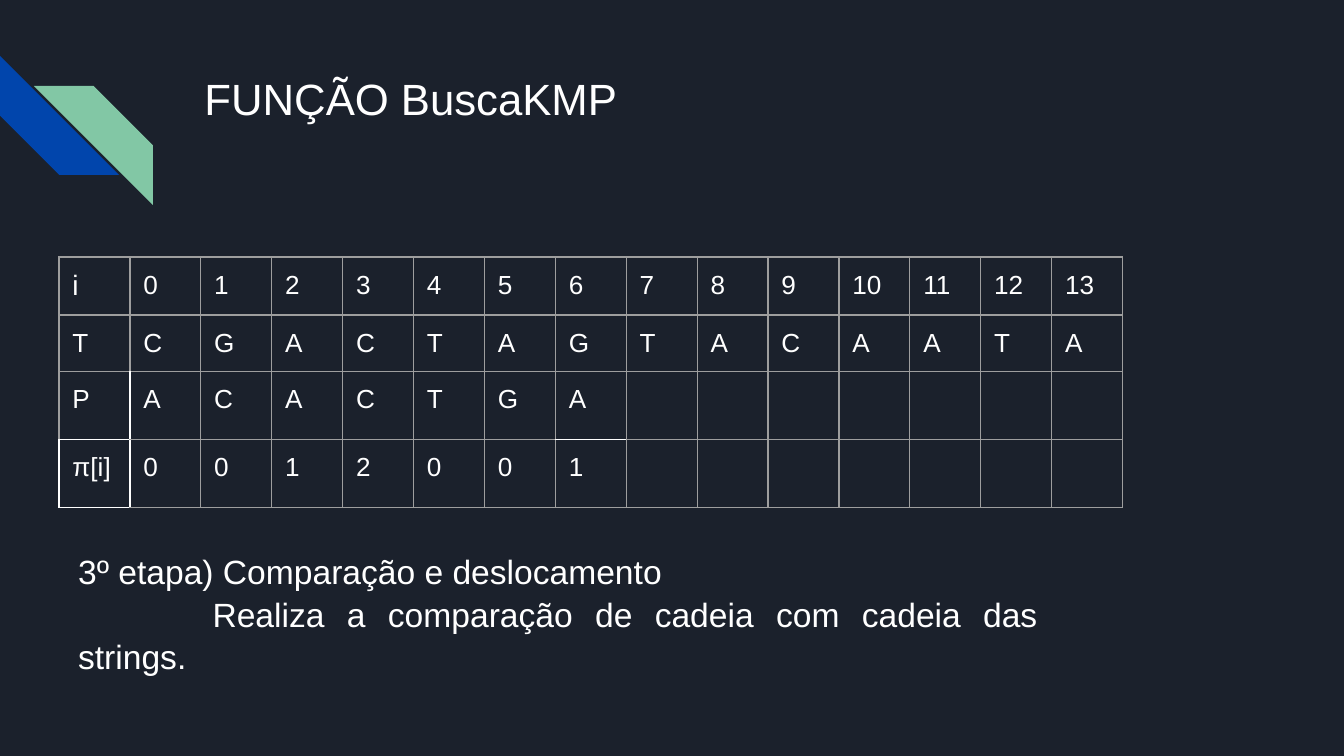
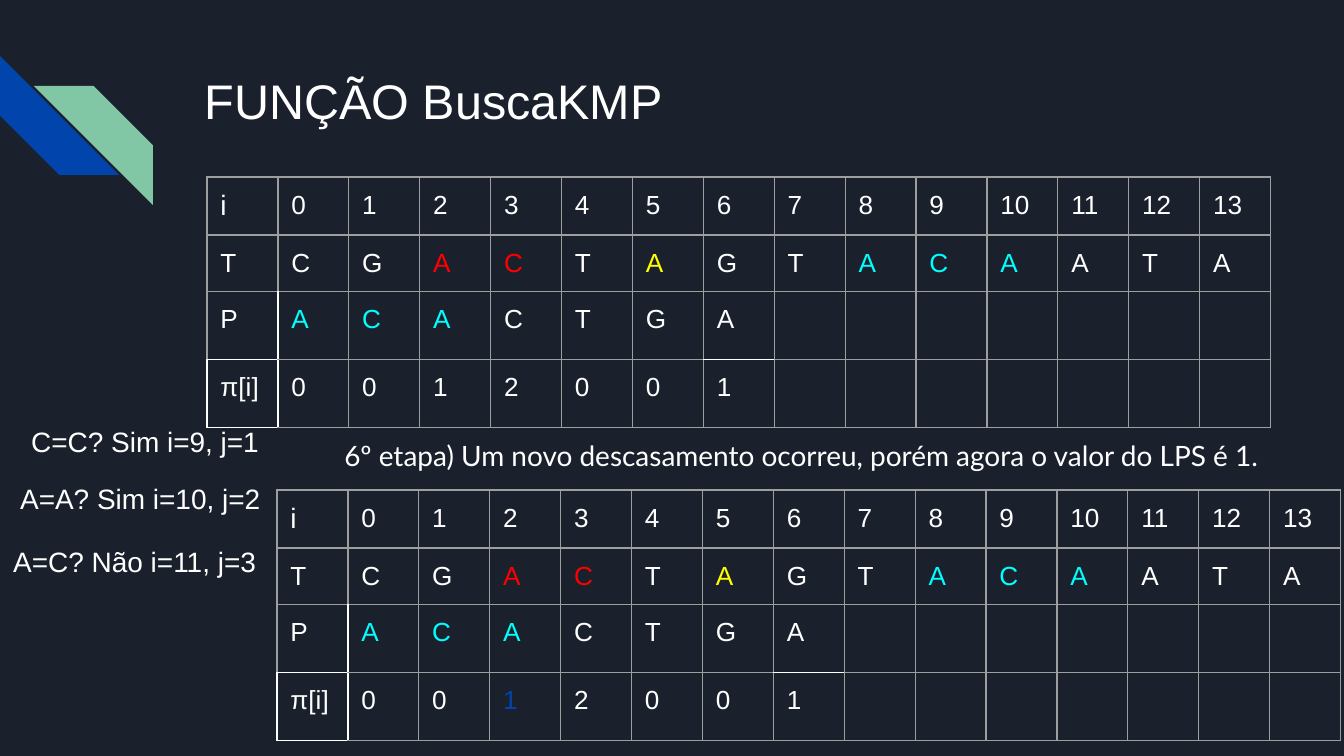
from lxml import etree
from pptx import Presentation
from pptx import util as u
from pptx.dml.color import RGBColor
from pptx.enum import shapes, text
from pptx.oxml.ns import qn

PX = 914400 / 134.4
NAVY, BLUE, GREEN = "1B212C", "0145AC", "82C7A5"
WHITE, GREY, RED, YELLOW, CYAN = "FFFFFF", "9E9E9E", "FF0000", "FFFF00", "00FFFF"
INSET = u.Emu(round(13.44 * PX))


def paint(fill, colour):
    fill.solid()
    fill.fore_color.rgb = RGBColor.from_string(colour)


def write(frame, lines, size, colour=WHITE, font="Arial"):
    """Fill a text frame or a cell's frame, one paragraph per line."""
    frame.text = "\n".join(lines)
    for paragraph in frame.paragraphs:
        paragraph.alignment = text.PP_ALIGN.LEFT
        for run in paragraph.runs:
            run.font.name, run.font.size = font, u.Pt(size)
            paint(run.font.fill, colour)


prs = Presentation()
prs.slide_width, prs.slide_height = round(1344 * PX), round(756 * PX)
layout = prs.slide_layouts[5]
paint(layout.background.fill, NAVY)

search, mismatch = [prs.slides.add_slide(layout) for _ in range(2)]

# The corner stripes belong to the layout, so both slides show them
for left, top, colour, turn in [(0, 56, BLUE, ("rot", "16200000")),
                                (34, 86, GREEN, ("flipH", "1"))]:
    stripe = search.shapes.add_shape(
        shapes.MSO_SHAPE.DIAGONAL_STRIPE,
        *[round(n * PX) for n in (left, top, 119, 119)])
    stripe.shadow.inherit = False
    stripe.adjustments[0] = 0.5
    paint(stripe.fill, colour)
    stripe.line.fill.background()
    stripe.element.spPr.find(qn("a:xfrm")).set(*turn)
    layout.shapes.element.append(stripe.element)

frame_format = {
    "margin_left": INSET, "margin_right": INSET,
    "margin_top": INSET, "margin_bottom": INSET,
    "word_wrap": True, "vertical_anchor": text.MSO_ANCHOR.TOP,
    "auto_size": text.MSO_AUTO_SIZE.NONE,
}

# Titles and captions: left, top, width, height
search_title, mismatch_title = search.shapes.title, mismatch.shapes.title
captions = [
    (search_title, (191, 58, 1035, 134), ["FUNÇÃO BuscaKMP"], 23.4, "Arial"),
    (mismatch_title, (191, 58, 1035, 134), ["FUNÇÃO BuscaKMP"], 26, "Arial"),
    (search.shapes.add_textbox(0, 0, 0, 0), (65, 536, 986, 64),
     ["3º etapa) Comparação e deslocamento",
      "Realiza a comparação de cadeia com cadeia das strings."], 18, "Arial"),
    (mismatch.shapes.add_textbox(0, 0, 0, 0), (331, 425, 956, 50),
     ["6º etapa) Um novo descasamento ocorreu, porém agora o valor do LPS é 1."],
     15, "Lato"),
]
for left, top, comparison in [(18, 411, "C=C? Sim i=9, j=1"),
                              (7, 468, "A=A? Sim i=10, j=2"),
                              (0, 531, "A=C? Não i=11, j=3")]:
    captions.append((mismatch.shapes.add_textbox(0, 0, 0, 0),
                     (left, top, 1106, 63), [comparison], 15, "Arial"))

for box, place, lines, size, font in captions:
    for side, length in zip(("left", "top", "width", "height"), place):
        setattr(box, side, round(length * PX))
    for name, value in frame_format.items():
        setattr(box.text_frame, name, value)
    write(box.text_frame, lines, size, font=font)

step_paragraphs = captions[2][0].text_frame.paragraphs
for paragraph in step_paragraphs:
    paragraph.line_spacing = 1.05
step_paragraphs[1].alignment = text.PP_ALIGN.JUSTIFY
step_paragraphs[1].font.size = u.Pt(18)
step_paragraphs[1]._p.get_or_add_pPr().set("indent", str(u.Inches(1)))

# KMP tables: index, text, pattern and prefix function
KMP_ROWS = [
    ["i", *map(str, range(14))],
    ["T", *"CGACTAGTACAATA"],
    ["P", *"ACACTGA"],
    ["π[i]", *"0012001"],
]
ROW_HEIGHTS = [58, 56, 65, 64]
WHITE_EDGES = {(2, 0): "RB", (2, 1): "L", (2, 7): "B",
               (3, 0): "LRTB", (3, 1): "L", (3, 7): "T"}
matches = {
    (1, 3): RED, (1, 4): RED, (1, 6): YELLOW,
    **{(1, column): CYAN for column in (9, 10, 11)},
    **{(2, column): CYAN for column in (1, 2, 3)},
}

for slide, left, top, highlights in [
    (search, 59, 257, {}),
    (mismatch, 207, 177, matches),
    (mismatch, 277, 490, {**matches, (3, 3): BLUE}),
]:
    kmp = slide.shapes.add_table(
        4, 15, *[round(n * PX) for n in (left, top, 15 * 71, sum(ROW_HEIGHTS))]).table
    kmp.first_row = kmp.horz_banding = False
    for column in kmp.columns:
        column.width = round(70.93 * PX)
    for r, height in enumerate(ROW_HEIGHTS):
        kmp.rows[r].height = round(height * PX)
        for c in range(15):
            cell = kmp.cell(r, c)
            for side in ("left", "right", "top", "bottom"):
                setattr(cell, f"margin_{side}", INSET)
            if c < len(KMP_ROWS[r]):
                write(cell.text_frame, [KMP_ROWS[r][c]],
                      15 if (r, c) == (0, 0) else 14,
                      highlights.get((r, c), WHITE))
            borders = cell._tc.get_or_add_tcPr()
            for edge in "LRTB":
                line = etree.SubElement(borders, qn(f"a:ln{edge}"), w=str(u.Pt(0.75)))
                solid = etree.SubElement(line, qn("a:solidFill"))
                is_white = edge in WHITE_EDGES.get((r, c), "")
                etree.SubElement(solid, qn("a:srgbClr"), val=WHITE if is_white else GREY)
            cell.fill.background()

prs.save("out.pptx")
